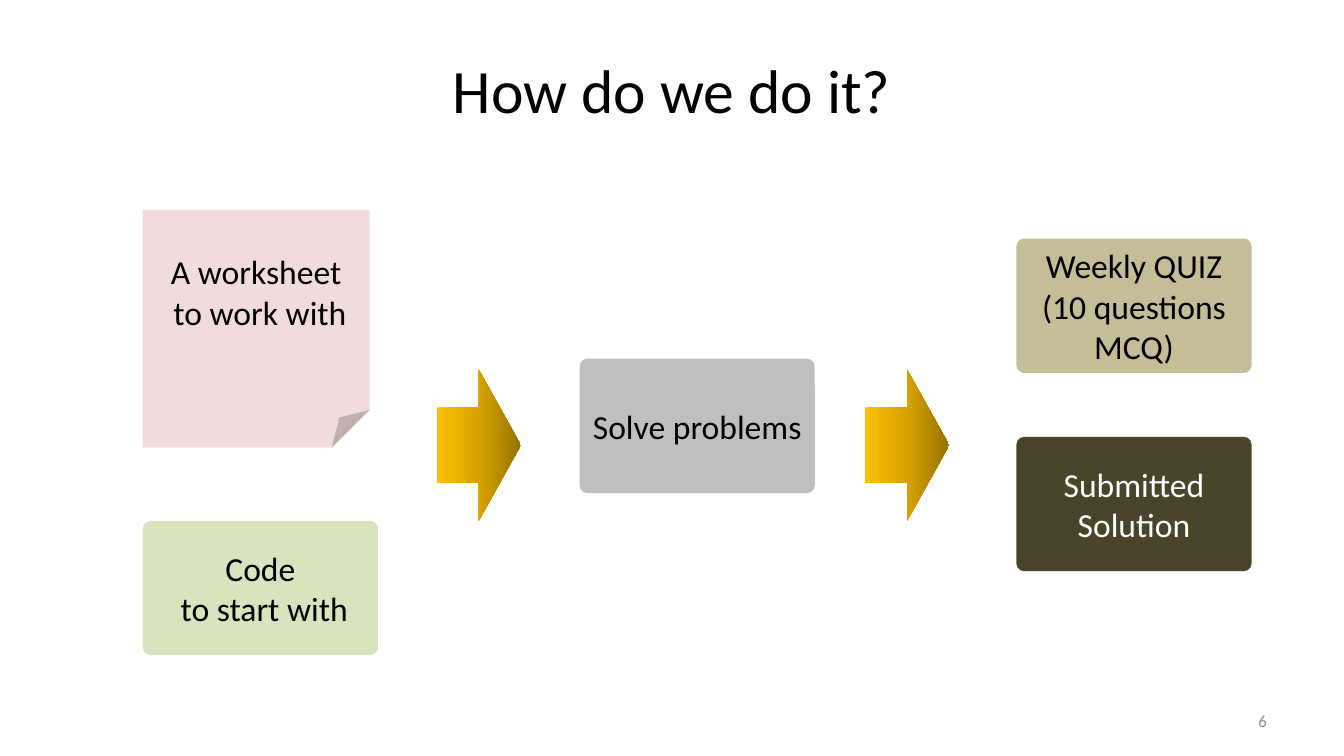
import copy

import pptx
import pptx.dml.color
import pptx.enum.shapes
import pptx.enum.text
import pptx.util

KIND = pptx.enum.shapes.MSO_SHAPE
ALIGN = pptx.enum.text.PP_ALIGN
ANCHOR = pptx.enum.text.MSO_ANCHOR
COLS, ROWS = 160, 90
BLACK, WHITE, GREY = "000000", "FFFFFF", "8C8C8C"
GOLD = "FFC000", "D7A200", "977200"


def tint(code):
    return pptx.dml.color.RGBColor.from_string(code)


class Board:
    """A slide on a grid of COLS by ROWS, with one text style."""

    font = "Calibri"
    size = 24

    def __init__(self, deck):
        self.slide = deck.slides.add_slide(deck.slide_layouts[6])
        self.wide = deck.slide_width / COLS
        self.high = deck.slide_height / ROWS

    def place(self, col, row, cols, rows):
        return (round(col * self.wide), round(row * self.high),
                round(cols * self.wide), round(rows * self.high))

    def letter(self, shape, lines, color=BLACK, size=None,
               align=ALIGN.CENTER, anchor=ANCHOR.MIDDLE):
        """Put the lines into the shape, one paragraph each."""
        frame = shape.text_frame
        frame.word_wrap = True
        frame.vertical_anchor = anchor
        for index, line in enumerate(lines):
            para = frame.add_paragraph() if index else frame.paragraphs[0]
            para.alignment = align
            run = para.add_run()
            run.text = line
            run.font.name = self.font
            run.font.size = pptx.util.Pt(size or self.size)
            run.font.color.rgb = tint(color)

    def label(self, spot, lines, **style):
        self.letter(self.slide.shapes.add_textbox(*self.place(*spot)),
                    lines, **style)

    def shape(self, kind, spot):
        item = self.slide.shapes.add_shape(kind, *self.place(*spot))
        item.shadow.inherit = False
        item.line.fill.background()
        return item

    def solid(self, kind, spot, fill):
        item = self.shape(kind, spot)
        item.fill.solid()
        item.fill.fore_color.rgb = tint(fill)
        return item

    def card(self, col, row, fill, lines, color=BLACK):
        item = self.solid(KIND.ROUNDED_RECTANGLE, (col, row, 28, 16), fill)
        item.adjustments[0] = 0.058
        self.letter(item, lines, color)

    def arrow(self, col, row):
        fill = self.shape(KIND.RIGHT_ARROW, (col, row, 10, 18)).fill
        fill.gradient()
        fill.gradient_angle = 0
        # A new gradient has two stops; the middle one is a copy of the first
        first = fill.gradient_stops[0]._gs
        first.addnext(copy.deepcopy(first))
        for index, stop in enumerate(fill.gradient_stops):
            stop.position = index / 2
            stop.color.rgb = tint(GOLD[index])


def main():
    deck = pptx.Presentation()
    deck.slide_width = pptx.util.Inches(13.33)
    deck.slide_height = pptx.util.Inches(7.5)
    board = Board(deck)

    board.label((8, 3.1, 144, 15), ["How do we do it?"], size=44)
    board.label((114.7, 83.4, 37.3, 4.8), ["6"], color=GREY, size=12,
                align=ALIGN.RIGHT)

    board.solid(KIND.FOLDED_CORNER, (17, 25, 27, 28.3), "F2DCDB")
    board.label((17, 29.3, 27, 10.9), ["A worksheet", " to work with"],
                anchor=ANCHOR.TOP)

    board.card(17, 62, "D7E4BD", ["Code", " to start with"])
    board.card(69, 42.7, "BFBFBF", ["Solve problems"])
    board.card(121, 52, "4A452A", ["Submitted Solution"], WHITE)
    board.card(121, 28.4, "C4BD97", ["Weekly QUIZ (10 questions MCQ)"])

    for col in (52, 103):
        board.arrow(col, 44)

    deck.save("out.pptx")


if __name__ == "__main__":
    main()
